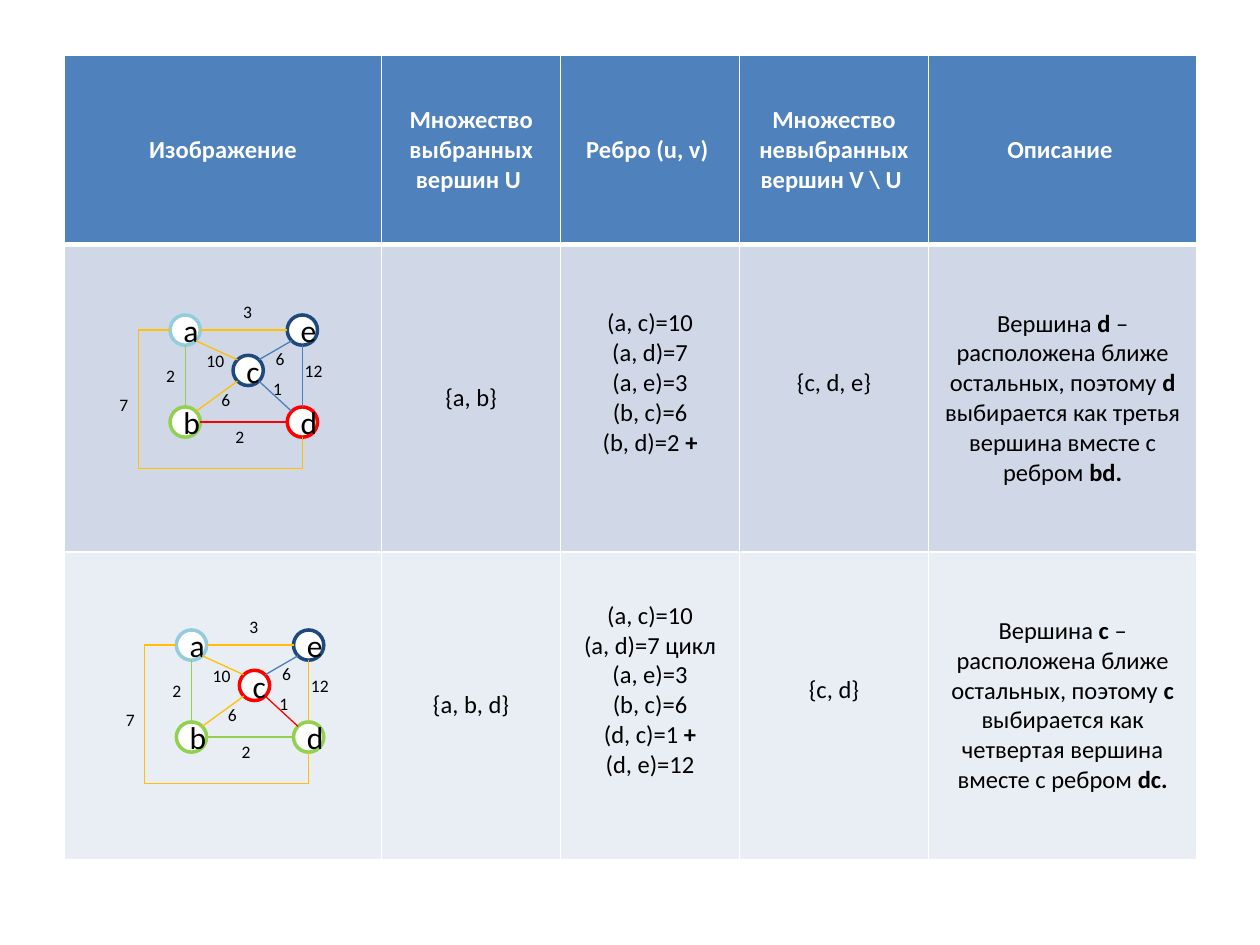
"""Build a slide with a table of two steps of a spanning tree search."""
from itertools import product
from math import sqrt

from lxml.etree import SubElement
from pptx import Presentation
from pptx.dml.color import RGBColor
from pptx.enum.shapes import MSO_CONNECTOR, MSO_SHAPE
from pptx.enum.text import MSO_ANCHOR, MSO_AUTO_SIZE, PP_ALIGN
from pptx.oxml.ns import qn
from pptx.util import Inches, Pt

THEME = {
    "font": "Calibri", "cell": 14, "node": 18, "tag": 10,
    "rows": ["4F81BD", "D0D8E8", "E9EDF4"],
    "white": "FFFFFF", "black": "000000", "green": "92D050", "navy": "1F497D",
    "red": "FF0000", "sky": "93CDDD", "blue": "4B7EBC", "gold": "FFC000",
    "thin": 0.75, "ring": 2, "rule": 1, "thick": 3,
}
SIZE = (10, 7.5)
GRID = {"left": 0.51, "top": 0.44, "cols": [2.52, 1.42, 1.42, 1.5, 2.13],
        "rows": [1.5, 2.44, 2.44]}
ROWS = [
    ["Изображение", "Множество выбранных вершин U ", "Ребро (u, v) ",
     "Множество невыбранных вершин V \\ U ", "Описание "],
    ["", "{a, b}", "(a, c)=10\n(a, d)=7\n(a, e)=3\n(b, c)=6\n(b, d)=2 *+*", "{c, d, e}",
     "Вершина *d* – расположена ближе остальных, поэтому *d *"
     "выбирается как третья вершина вместе с ребром *bd.*"],
    ["", "{a, b, d}",
     "(a, c)=10\n(a, d)=7 цикл\n(a, e)=3\n(b, c)=6\n(d, c)=1 *+*\n(d, e)=12", "{c, d}",
     "Вершина *c* – расположена ближе остальных, поэтому *c *"
     "выбирается как четвертая вершина вместе с ребром *dc.*"],
]
RAISED = (2, 3)
LIFT = 0.29

DIAM = 0.24
NODES = {"b": (0.5, 0.85), "e": (1.43, 0.12), "c": (1, 0.44),
         "d": (1.43, 0.85), "a": (0.5, 0.12)}
EDGES = ["cd", "ab", "bd", "ae", "ce", "ac", "bc", "ed"]
TAGS = [("1", 1.1, 0.45, 0.27), ("6", 0.69, 0.54, 0.27), ("6", 1.12, 0.21, 0.27),
        ("7", -0.12, 0.58, 0.27), ("12", 1.35, 0.31, 0.34), ("2", 0.25, 0.35, 0.27),
        ("2", 0.8, 0.83, 0.27), ("3", 0.96, -0.16, 0.05), ("10", 0.57, 0.23, 0.34)]
BASE = {"a": "sky", "b": "green", "c": "navy", "d": "red", "e": "navy",
        "cd": "blue", "ab": "green", "bd": "red", "ae": "gold", "ce": "blue",
        "ac": "gold", "bc": "gold", "ed": "blue", "ad": "gold"}
GRAPHS = [
    {"at": (0.97, 2.5), "tint": BASE},
    {"at": (1.02, 5), "tint": {**BASE, "c": "red", "d": "green", "cd": "red",
                               "bd": "green", "ed": "gold"}},
]


def put(item, vals):
    for key, val in vals.items():
        setattr(item, key, val)


def hue(name):
    return RGBColor.from_string(THEME.get(name, name))


def write(frame, text, size, tint, bold=False, align=None):
    for num, line in enumerate(text.split("\n")):
        para = frame.add_paragraph() if num else frame.paragraphs[0]
        para.alignment = align
        for turn, part in enumerate(line.split("*")):
            if part:
                run = para.add_run()
                run.text = part
                put(run.font, {"name": THEME["font"], "size": Pt(THEME[size]),
                               "bold": bold or turn % 2 == 1})
                run.font.color.rgb = hue(tint)


def edge(cell, side, width):
    line = SubElement(cell._tc.get_or_add_tcPr(), qn("a:ln" + side), w=str(Pt(width)))
    fill = SubElement(line, qn("a:solidFill"))
    SubElement(fill, qn("a:srgbClr"), val=THEME["white"])


def draw_table(slide):
    cols, rows = GRID["cols"], GRID["rows"]
    box = map(Inches, (GRID["left"], GRID["top"], sum(cols), sum(rows)))
    table = slide.shapes.add_table(len(rows), len(cols), *box).table
    for col, wide in zip(table.columns, cols):
        col.width = Inches(wide)
    for row, high in zip(table.rows, rows):
        row.height = Inches(high)
    for y, x in product(range(len(rows)), range(len(cols))):
        cell, head = table.cell(y, x), y == 0
        thick = {"B": y == 0, "T": y == 1}
        for side in "LRTB":
            edge(cell, side, THEME["thick" if thick.get(side) else "rule"])
        cell.fill.solid()
        cell.fill.fore_color.rgb = hue(THEME["rows"][y])
        cell.vertical_anchor = MSO_ANCHOR.MIDDLE
        if y and x in RAISED:
            cell.margin_bottom = Inches(LIFT)
        write(cell.text_frame, ROWS[y][x], "cell", "white" if head else "black",
              head, PP_ALIGN.CENTER)


def link(slide, kind, ends, tint):
    line = slide.shapes.add_connector(kind, *map(Inches, ends))
    put(line.line, {"width": Pt(THEME["thin"])})
    line.line.color.rgb = hue(tint)
    SubElement(line.element.spPr, qn("a:effectLst"))
    return line


def ends(start, stop):
    way = [(q > p) - (q < p) for p, q in zip(start, stop)]
    reach = DIAM / 2 / sqrt(sum(map(abs, way)))
    return ([p + w * reach for p, w in zip(start, way)]
            + [q - w * reach for q, w in zip(stop, way)])


def loop(slide, start, stop, tint):
    rad = DIAM / 2
    path = (start[0] - rad, start[1], stop[0], stop[1] + rad)
    line = link(slide, MSO_CONNECTOR.ELBOW, path, tint)
    geom = line.element.spPr.find(qn("a:prstGeom"))
    geom.set("prst", "bentConnector4")
    stops = geom.find(qn("a:avLst"))
    for name, val in (("adj1", -23900), ("adj2", 129300)):
        SubElement(stops, qn("a:gd"), name=name, fmla=f"val {val}")


def draw_graph(slide, at, tint):
    spots = {key: (at[0] + x, at[1] + y) for key, (x, y) in NODES.items()}
    for key, (x, y) in spots.items():
        box = map(Inches, (x - DIAM / 2, y - DIAM / 2, DIAM, DIAM))
        node = slide.shapes.add_shape(MSO_SHAPE.OVAL, *box)
        node.shadow.inherit = False
        node.fill.solid()
        node.fill.fore_color.rgb = hue("white")
        node.line.width = Pt(THEME["ring"])
        node.line.color.rgb = hue(tint[key])
        node.text_frame.vertical_anchor = MSO_ANCHOR.MIDDLE
        write(node.text_frame, key, "node", "black", align=PP_ALIGN.CENTER)
    for pair in EDGES:
        path = ends(*(spots[key] for key in pair))
        link(slide, MSO_CONNECTOR.STRAIGHT, path, tint[pair])
    loop(slide, spots["a"], spots["d"], tint["ad"])
    for text, x, y, wide in TAGS:
        box = map(Inches, (at[0] + x, at[1] + y, wide, 0.27))
        frame = slide.shapes.add_textbox(*box).text_frame
        put(frame, {"word_wrap": wide < 0.1, "auto_size": MSO_AUTO_SIZE.SHAPE_TO_FIT_TEXT})
        write(frame, text, "tag", "black")


def main():
    deck = Presentation()
    put(deck, dict(zip(("slide_width", "slide_height"), map(Inches, SIZE))))
    slide = deck.slides.add_slide(deck.slide_layouts[6])
    draw_table(slide)
    for graph in GRAPHS:
        draw_graph(slide, **graph)
    deck.save("out.pptx")


if __name__ == "__main__":
    main()
